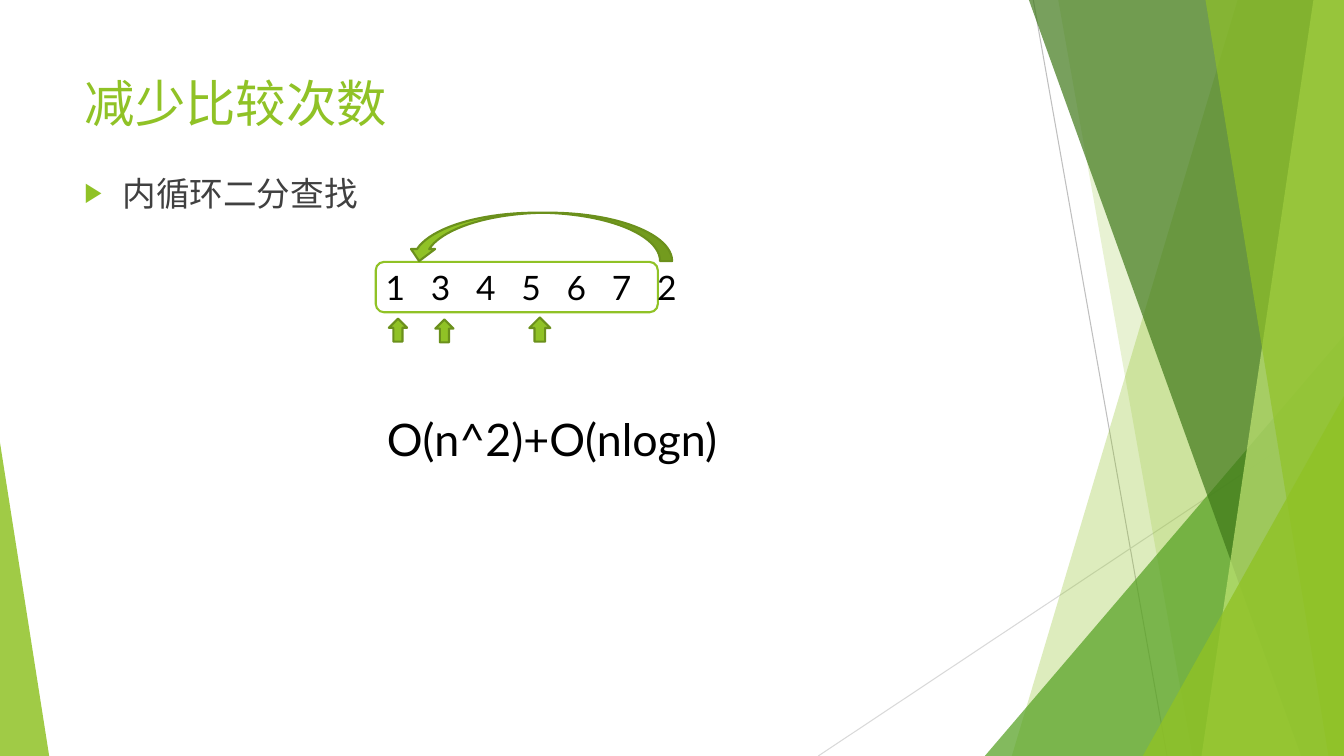
import pptx
import pptx.dml.color
import pptx.enum.shapes
import pptx.enum.text
import pptx.oxml
import pptx.oxml.ns
import pptx.util
from lxml import etree
from pptx.util import Cm, Pt

SHAPE = pptx.enum.shapes.MSO_SHAPE
WIDTH, HEIGHT = 33.87, 19.05
COLORS = {
    "lime": "90C226",
    "pale lime": "C0E474",
    "green": "54A021",
    "forest": "3F7819",
    "outline": "6B901C",
    "body": "404040",
    "black": "000000",
    "white": "FFFFFF",
    "gray": "BFBFBF",
    "light gray": "D9D9D9",
}


def rgb(color):
    return pptx.dml.color.RGBColor.from_string(COLORS[color])


def add_child(parent, tag, **attributes):
    child = etree.SubElement(parent, pptx.oxml.ns.qn(tag))
    for name, value in attributes.items():
        child.set(name, str(value))
    return child


def paint(shape, fill, alpha=100, outline=None):
    shape.shadow.inherit = False
    shape.fill.solid()
    shape.fill.fore_color.rgb = rgb(fill)
    if alpha < 100:
        color = shape.fill._xPr.find(".//" + pptx.oxml.ns.qn("a:srgbClr"))
        add_child(color, "a:alpha", val=alpha * 1000)
    if outline:
        shape.line.color.rgb = rgb(outline)
        shape.line.width = Pt(1.5)
    else:
        shape.line.fill.background()


def add_preset(slide, kind, box, fill, alpha=100, outline=None):
    shape = slide.shapes.add_shape(kind, *map(Cm, box))
    paint(shape, fill, alpha, outline)
    return shape


def add_corner(slide, box, apex, fill, alpha):
    """Add a right triangle whose apex is at the left (0) or right (1)."""
    corner = add_preset(slide, SHAPE.ISOSCELES_TRIANGLE, box, fill, alpha)
    corner.adjustments[0] = apex


def add_facet(slide, top_x, bottom_x, fill, alpha):
    """Add a full-height band from a slanted left edge to the slide's right edge."""
    builder = slide.shapes.build_freeform(Cm(top_x), 0)
    corners = [(WIDTH, 0), (WIDTH, HEIGHT), (bottom_x, HEIGHT)]
    builder.add_line_segments([(Cm(x), Cm(y)) for x, y in corners])
    paint(builder.convert_to_shape(), fill, alpha)


def add_hairline(slide, start, end, color):
    hairline = slide.shapes.add_connector(
        pptx.enum.shapes.MSO_CONNECTOR.STRAIGHT, *map(Cm, start + end))
    hairline.line.color.rgb = rgb(color)
    hairline.line.width = Pt(0.75)
    add_child(hairline._element.spPr, "a:effectLst")


def add_backdrop(slide):
    add_hairline(slide, (26.04, 0), (29.41, HEIGHT), "gray")
    add_hairline(slide, (WIDTH, 10.24), (20.62, HEIGHT), "light gray")
    add_facet(slide, 31.19, 25.5, "lime", 30)
    add_facet(slide, 26.67, 30.05, "lime", 20)
    add_corner(slide, (24.82, 8.46, 9.05, 10.59), 1, "green", 72)
    add_facet(slide, 25.93, 32.79, "forest", 70)
    add_facet(slide, 33.1, 30.28, "pale lime", 70)
    add_facet(slide, 30.38, 33.48, "lime", 65)
    add_corner(slide, (28.8, 9.98, 5.07, 9.07), 1, "lime", 80)
    add_corner(slide, (0, 11.15, 1.24, 7.9), 0, "lime", 85)


def style(paragraph, font, size, color):
    paragraph.font.name = font
    paragraph.font.size = Pt(size)
    paragraph.font.color.rgb = rgb(color)


def add_text(slide, box, text):
    frame = slide.shapes.add_textbox(*map(Cm, box)).text_frame
    frame.word_wrap = True
    frame.text = text
    return frame.paragraphs[0]


def set_title(slide, text):
    title = slide.shapes.title
    title.left, title.top, title.width, title.height = map(Cm, (1.88, 1.7, 23.88, 3.66))
    title.text_frame.text = text
    title.text_frame.vertical_anchor = pptx.enum.text.MSO_ANCHOR.TOP
    heading = title.text_frame.paragraphs[0]
    heading.alignment = pptx.enum.text.PP_ALIGN.LEFT
    style(heading, "Arial", 36, "lime")


def add_bullet(slide, box, text):
    point = add_text(slide, box, text)
    properties = point._p.get_or_add_pPr()
    properties.set("marL", str(Cm(0.96)))
    properties.set("indent", str(-Cm(0.96)))
    bullet_color = add_child(properties, "a:buClr")
    add_child(bullet_color, "a:srgbClr", val=COLORS["lime"])
    add_child(properties, "a:buSzPct", val=80000)
    add_child(properties, "a:buFont", typeface="Arial")
    add_child(properties, "a:buChar", char="▶")
    style(point, "Lato", 24, "body")


def add_number_row(slide, box, numbers, pitch):
    row = add_text(slide, box, "\t".join(map(str, numbers)))
    tabs = add_child(row._p.get_or_add_pPr(), "a:tabLst")
    for column in range(1, len(numbers)):
        add_child(tabs, "a:tab", pos=Cm(pitch * column), algn="l")
    style(row, "Lato", 24, "black")


def main():
    deck = pptx.Presentation()
    deck.slide_width, deck.slide_height = Cm(WIDTH), Cm(HEIGHT)
    slide = deck.slides.add_slide(deck.slide_layouts.get_by_name("Title Only"))
    add_backdrop(slide)

    add_preset(slide, SHAPE.ROUNDED_RECTANGLE, (9.47, 6.6, 7.11, 1.27), "white", outline="lime")
    set_title(slide, "减少比较次数")
    add_bullet(slide, (1.88, 4.22, 23.88, 10.77), "内循环二分查找")
    add_number_row(slide, (9.47, 6.6, 8.31, 1.27), [1, 3, 4, 5, 6, 7, 2], 1.14)

    probes = [(13.34, 8, 0.53, 0.61), (10.97, 8.05, 0.46, 0.58), (9.8, 8.03, 0.46, 0.58)]
    for probe in probes:
        add_preset(slide, SHAPE.UP_ARROW, probe, "lime", outline="outline")

    complexity = add_text(slide, (9.5, 10.24, 8.92, 1.63), "O(n^2)+O(nlogn)")
    style(complexity, "Lato", 32, "black")

    insertion = add_preset(slide, SHAPE.CURVED_DOWN_ARROW, (10.26, 5.36, 6.68, 1.22),
                           "lime", outline="outline")
    insertion._element.spPr.find(pptx.oxml.ns.qn("a:xfrm")).set("flipH", "1")
    deck.save("out.pptx")


if __name__ == "__main__":
    main()
